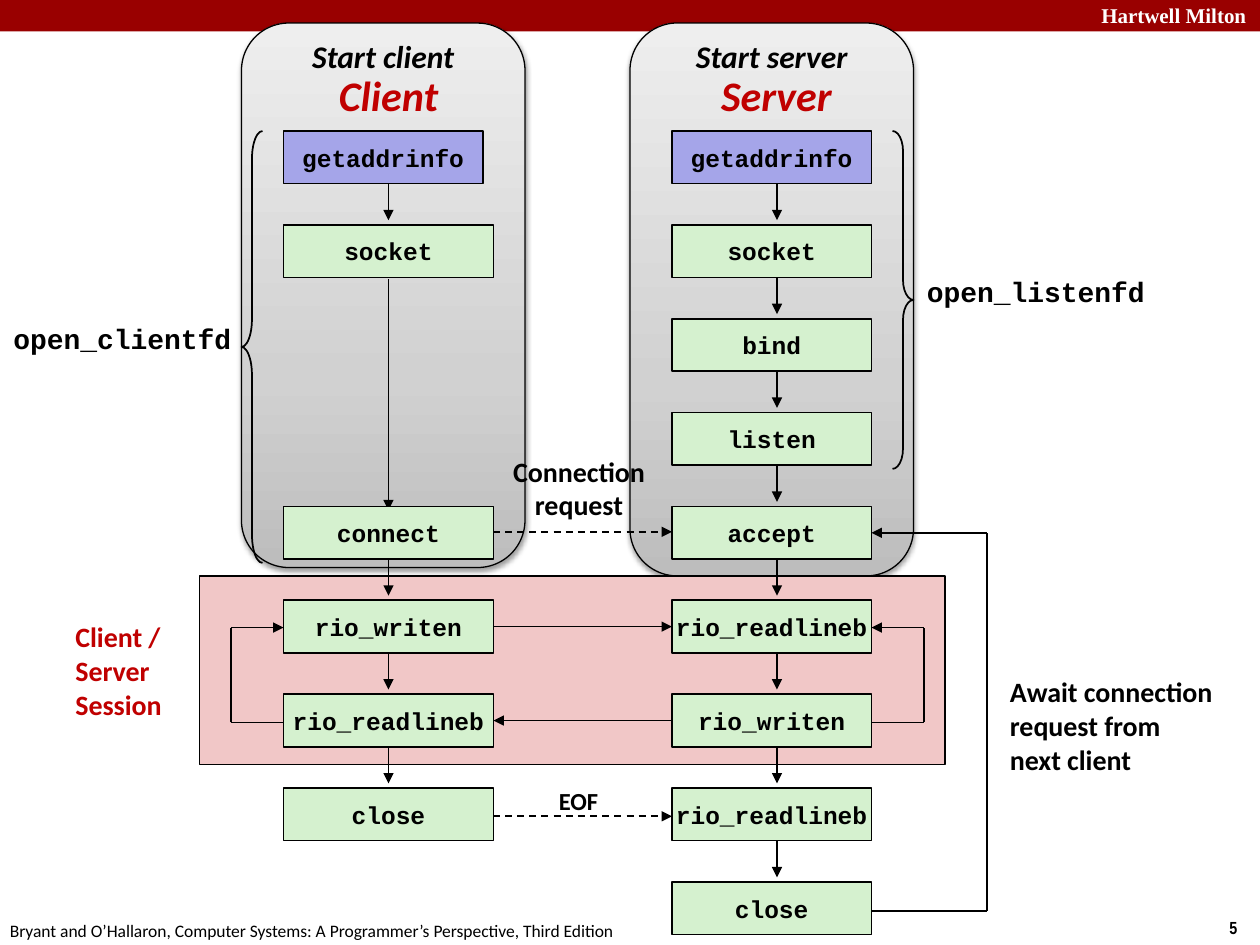
from dataclasses import dataclass
from itertools import pairwise

from lxml import etree
from pptx import Presentation
from pptx.dml.color import RGBColor
from pptx.enum.dml import MSO_LINE
from pptx.enum.shapes import MSO_CONNECTOR, MSO_SHAPE
from pptx.enum.text import MSO_ANCHOR, PP_ALIGN
from pptx.oxml import parse_xml
from pptx.oxml.ns import nsdecls, qn
from pptx.util import Inches, Pt

RECTANGLE, ROUNDED = MSO_SHAPE.RECTANGLE, MSO_SHAPE.ROUNDED_RECTANGLE
LEFT_BRACE, RIGHT_BRACE = MSO_SHAPE.LEFT_BRACE, MSO_SHAPE.RIGHT_BRACE
STRAIGHT, DASH = MSO_CONNECTOR.STRAIGHT, MSO_LINE.DASH
LEFT, CENTER = PP_ALIGN.LEFT, PP_ALIGN.CENTER
TOP, MIDDLE = MSO_ANCHOR.TOP, MSO_ANCHOR.MIDDLE

COLUMN = 1 / 12
ROW = 0.745
FIRST_ROW = 1.04
STEP_HEIGHT = 0.56
CLIENT, SERVER = 27, 64
CLIENT_WIDTH, SERVER_WIDTH = 20, 19
CLIENT_AXIS, SERVER_AXIS = 37, 74
CLIENT_EDGE, SERVER_EDGE = CLIENT + CLIENT_WIDTH, SERVER + SERVER_WIDTH


@dataclass(frozen=True)
class Theme:
    """Colours, fonts and type sizes of the slide."""
    ink: str = "000000"
    accent: str = "C00000"
    banner: str = "990000"
    white: str = "FFFFFF"
    session: str = "F1C7C7"
    step: str = "D5F1CF"
    lookup: str = "A5A5E9"
    panel: tuple = ((0, "BDBDBD"), (35, "D1D1D1"), (100, "EEEEEE"))
    body: str = "Calibri"
    code: str = "Courier New"
    serif: str = "Times New Roman"
    narrow: str = "Arial Narrow"
    footer_size: int = 10
    banner_size: int = 12
    step_size: int = 14
    label_size: int = 16
    panel_size: int = 18
    role_size: int = 24


THEME = Theme()


def point(column, row):
    """Turn a grid position into slide coordinates."""
    return Inches(column * COLUMN), Inches(FIRST_ROW + row * ROW)


def area(column, row, columns, rows):
    """Turn a grid area into left, top, width and height."""
    return (*point(column, row), Inches(columns * COLUMN), Inches(rows * ROW))


def write_text(shape, text, size=THEME.label_size, font=THEME.body,
               color=THEME.ink, bold=True, italic=False, align=CENTER,
               anchor=MIDDLE, wrap=False):
    """Write one paragraph per line of text in the given format."""
    frame = shape.text_frame
    frame.word_wrap = wrap
    frame.vertical_anchor = anchor
    for index, line in enumerate(text.split("\n")):
        paragraph = frame.add_paragraph() if index else frame.paragraphs[0]
        paragraph.alignment = align
        run = paragraph.add_run()
        run.text = line
        run.font.size, run.font.name = Pt(size), font
        run.font.bold, run.font.italic = bold, italic
        run.font.color.rgb = RGBColor.from_string(color)


def add_label(slide, place, text, **style):
    """Add a text box at a grid area."""
    write_text(slide.shapes.add_textbox(*area(*place)), text, **style)


def add_block(slide, place, kind=RECTANGLE, fill=None, line_width=1):
    """Add a flat preset shape, outlined when it has a line width."""
    shape = slide.shapes.add_shape(kind, *area(*place))
    shape.shadow.inherit = False
    if fill:
        shape.fill.solid()
        shape.fill.fore_color.rgb = RGBColor.from_string(fill)
    else:
        shape.fill.background()
    if line_width:
        shape.line.width = Pt(line_width)
        shape.line.color.rgb = RGBColor.from_string(THEME.ink)
    else:
        shape.line.fill.background()
    return shape


def add_panel(slide, place, text):
    """Add a rounded panel with a grey gradient and a soft shadow."""
    shape = add_block(slide, place, ROUNDED, line_width=0.75)
    properties = shape.element.spPr
    stops = "".join(
        f'<a:gs pos="{position * 1000}"><a:srgbClr val="{color}"/></a:gs>'
        for position, color in THEME.panel)
    gradient = parse_xml(
        f'<a:gradFill {nsdecls("a")} rotWithShape="1"><a:gsLst>{stops}</a:gsLst>'
        '<a:lin ang="16200000" scaled="0"/></a:gradFill>')
    properties.replace(properties.find(qn("a:noFill")), gradient)
    properties.find(qn("a:effectLst")).append(parse_xml(
        f'<a:outerShdw {nsdecls("a")} blurRad="40000" dist="20000" dir="5400000" '
        f'rotWithShape="0"><a:srgbClr val="{THEME.ink}"><a:alpha val="38000"/>'
        '</a:srgbClr></a:outerShdw>'))
    shape.text_frame.margin_top = 0
    write_text(shape, text, size=THEME.panel_size, italic=True, anchor=TOP, wrap=True)


def add_arrow(slide, *stops, dashed=False):
    """Join grid points with straight lines and point the last one."""
    for start, end in pairwise(stops):
        connector = slide.shapes.add_connector(STRAIGHT, *point(*start), *point(*end))
        connector.line.width = Pt(1)
        connector.line.color.rgb = RGBColor.from_string(THEME.ink)
        if dashed:
            connector.line.dash_style = DASH
        etree.SubElement(connector.element.spPr, qn("a:effectLst"))
    etree.SubElement(connector.line._get_or_add_ln(), qn("a:tailEnd"), type="triangle")


def add_step(slide, column, row, width, name, fill=THEME.step):
    """Add one call of the flow as a box."""
    shape = add_block(slide, (column, row, width, STEP_HEIGHT), fill=fill)
    write_text(shape, name, size=THEME.step_size, font=THEME.code)


def add_brace(slide, place, kind, curve):
    """Add a curly brace with the given curve."""
    add_block(slide, place, kind).adjustments[0] = curve


def add_frame(slide):
    """Add the banner, the footer and the slide number."""
    add_block(slide, (0, -1.4, 120, 0.34), fill=THEME.banner, line_width=0)
    add_label(slide, (103.7, -1.44, 17.2, 0.4), "Hartwell Milton", font=THEME.serif,
              size=THEME.banner_size, color=THEME.white, align=LEFT, anchor=TOP)
    add_label(slide, (115.9, 8.31, 4.1, 0.36), "5", font=THEME.narrow,
              size=THEME.footer_size, align=LEFT, anchor=TOP)
    add_label(slide, (-0.24, 8.34, 61, 0.36),
              "Bryant and O’Hallaron, Computer Systems: "
              "A Programmer’s Perspective, Third Edition",
              size=THEME.footer_size, bold=False, align=LEFT, anchor=TOP)


def add_arrows(slide):
    """Add the flow, message and loop arrows."""
    for axis, rows in ((CLIENT_AXIS, (0, 4, 5, 6)), (SERVER_AXIS, range(8))):
        for row in rows:
            add_arrow(slide, (axis, row + 0.5), (axis, row + 0.95))
    add_arrow(slide, (CLIENT_AXIS, 1.58), (CLIENT_AXIS, 4.04))
    for row in (4.27, 7.3):
        add_arrow(slide, (40, row), (SERVER, row), dashed=True)
    add_arrow(slide, (CLIENT_EDGE, 5.28), (SERVER, 5.28))
    add_arrow(slide, (SERVER, 6.28), (CLIENT_EDGE, 6.28))
    for edge, turn, low, high in ((CLIENT, 22, 6.3, 5.29), (SERVER_EDGE, 88, 6.3, 5.29),
                                  (SERVER_EDGE, 94, 8.31, 4.28)):
        add_arrow(slide, (edge, low), (turn, low), (turn, high), (edge, high))


def add_steps(slide):
    """Add the boxes of the client and the server."""
    for column in (CLIENT, SERVER):
        add_step(slide, column, 0, SERVER_WIDTH, "getaddrinfo", THEME.lookup)
    client = {1: "socket", 4: "connect", 5: "rio_writen", 6: "rio_readlineb", 7: "close"}
    for row, name in client.items():
        add_step(slide, CLIENT, row, CLIENT_WIDTH, name)
    server = ("socket", "bind", "listen", "accept", "rio_readlineb", "rio_writen",
              "rio_readlineb", "close")
    for row, name in enumerate(server, 1):
        add_step(slide, SERVER, row, SERVER_WIDTH, name)


def add_labels(slide):
    """Add the role names, notes and braces."""
    for place, role in (((31, -0.72, 12, 0.67), "Client"),
                        ((67.4, -0.72, 13.1, 0.67), "Server")):
        add_label(slide, place, role, size=THEME.role_size, color=THEME.accent, italic=True)
    add_label(slide, (6, 5.14, 11, 1.21), "Client / Server\nSession",
              color=THEME.accent, align=LEFT, wrap=True)
    add_label(slide, (47.6, 3.37, 15.1, 0.86), "Connection\nrequest")
    add_label(slide, (52, 6.9, 6.2, 0.46), "EOF", size=THEME.step_size)
    add_label(slide, (95, 5.72, 22, 1.22),
              "Await connection\nrequest from\nnext client", align=LEFT)
    add_brace(slide, (85, 0, 2, 3.6), RIGHT_BRACE, 0.96)
    add_brace(slide, (23, 0, 2, 4.6), LEFT_BRACE, 1.33)
    add_label(slide, (87, 1.46, 23.3, 0.5), "open_listenfd", font=THEME.code)
    add_label(slide, (0, 1.96, 23.3, 0.5), "open_clientfd", font=THEME.code)


def main():
    """Build the slide and save it."""
    presentation = Presentation()
    presentation.slide_width, presentation.slide_height = Inches(10), Inches(7.5)
    slide = presentation.slides.add_slide(presentation.slide_layouts[6])
    add_frame(slide)
    add_panel(slide, (23, -1.15, 27, 5.8), "Start client")
    add_panel(slide, (60, -1.15, 27, 5.89), "Start server")
    add_block(slide, (19, 4.74, 71, 2.01), fill=THEME.session)
    add_arrows(slide)
    add_steps(slide)
    add_labels(slide)
    presentation.save("out.pptx")


main()
